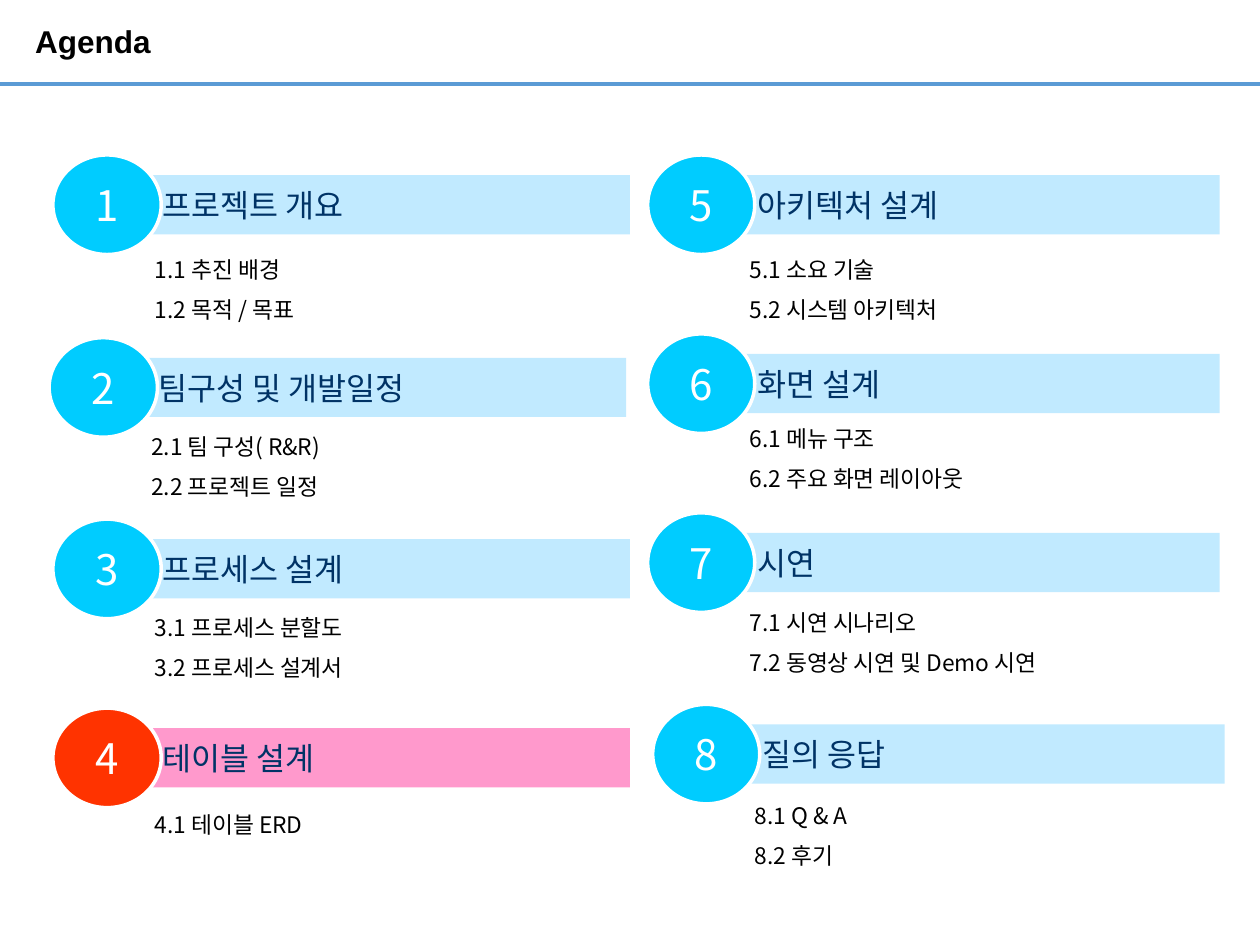
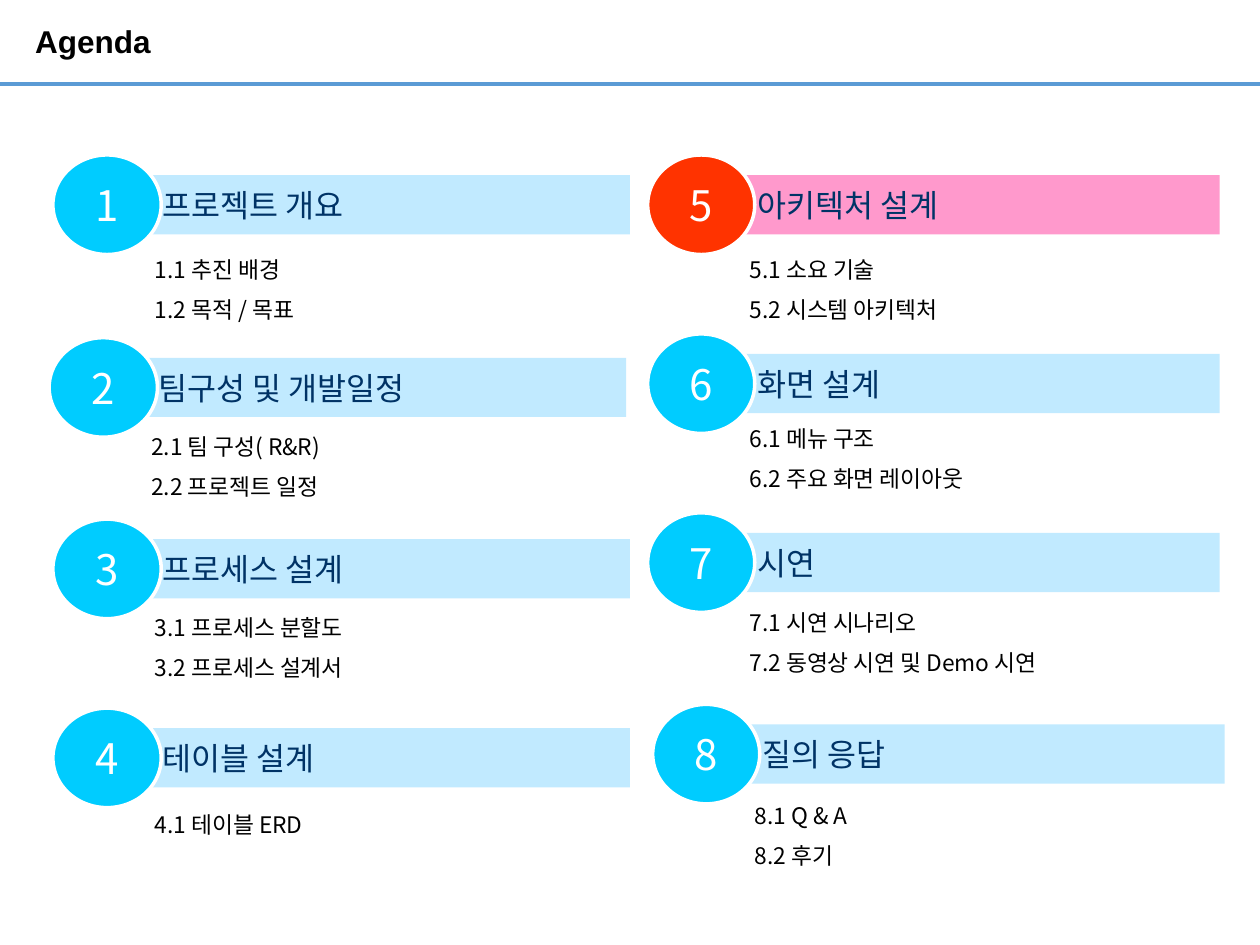
from lxml.etree import SubElement
from pptx import Presentation
from pptx.dml.color import RGBColor
from pptx.enum.shapes import MSO_CONNECTOR, MSO_SHAPE
from pptx.enum.text import MSO_ANCHOR, PP_ALIGN
from pptx.oxml.ns import qn
from pptx.util import Inches, Pt

# Content: per column, (title, nudge in x, circle top, items top, items)
LEFT = [
    ("프로젝트 개요", 0, 1.23, 1.94, ["1.1 추진 배경", "1.2 목적 / 목표"]),
    ("팀구성 및 개발일정", -0.03, 2.68, 3.34, ["2.1 팀 구성( R&R)", "2.2 프로젝트 일정"]),
    ("프로세스 설계", 0, 4.12, 4.78, ["3.1 프로세스 분할도", "3.2 프로세스 설계서"]),
    ("테이블 설계", 0, 5.62, 6.34, ["4.1 테이블 ERD"]),
]
RIGHT = [
    ("아키텍처 설계", 0, 1.23, 1.94, ["5.1 소요 기술", "5.2 시스템 아키텍처"]),
    ("화면 설계", 0, 2.65, 3.28, ["6.1 메뉴 구조", "6.2 주요 화면 레이아웃"]),
    ("시연", 0, 4.07, 4.74, ["7.1 시연 시나리오", "7.2 동영상 시연 및 Demo 시연"]),
    ("질의 응답", 0.04, 5.59, 6.27, ["8.1 Q & A", "8.2 후기"]),
]
# Circle left, circle width, bar width
COLS = [(0.42, 0.86, 4.23, LEFT), (5.14, 0.85, 4.19, RIGHT)]
ACTIVE = [4, 5]  # highlighted section on each slide

# Shared style
WHITE = RGBColor(0xFF, 0xFF, 0xFF)
BLACK = RGBColor(0, 0, 0)
NAVY = RGBColor(0x00, 0x33, 0x66)
RULE = RGBColor(0x5B, 0x9B, 0xD5)
CALM = (RGBColor(0xC1, 0xEA, 0xFF), RGBColor(0x00, 0xCC, 0xFF))
HOT = (RGBColor(0xFF, 0x99, 0xCC), RGBColor(0xFF, 0x33, 0x00))
SANS = "Noto Sans CJK KR"

TITLE = dict(
    frame=dict(margin_left=0, margin_right=0, margin_top=0, margin_bottom=0,
               vertical_anchor=MSO_ANCHOR.MIDDLE, word_wrap=True),
    para=dict(line_spacing=0.9),
    font=dict(name="Arial", size=Pt(18), bold=True), color=BLACK)
HEAD = dict(
    frame=dict(margin_left=Inches(0.52), vertical_anchor=MSO_ANCHOR.MIDDLE, word_wrap=True),
    para=dict(alignment=PP_ALIGN.LEFT),
    font=dict(name=SANS, size=Pt(18)), color=NAVY)
NUMBER = dict(
    frame=dict(vertical_anchor=MSO_ANCHOR.MIDDLE, word_wrap=False),
    para=dict(alignment=PP_ALIGN.CENTER),
    font=dict(name=SANS, size=Pt(24)), color=WHITE)
ITEM = dict(
    frame=dict(margin_left=Inches(0.02), margin_right=Inches(0.02), word_wrap=True),
    para=dict(alignment=PP_ALIGN.JUSTIFY, line_spacing=1.2, space_before=Pt(4)),
    font=dict(name=SANS, size=Pt(13)), color=BLACK)


def apply(obj, vals):
    for key, val in vals.items():
        setattr(obj, key, val)


def write(shape, lines, style):
    frame = shape.text_frame
    apply(frame, style["frame"])
    for i, line in enumerate(lines):
        para = frame.add_paragraph() if i else frame.paragraphs[0]
        apply(para, style["para"])
        run = para.add_run()
        run.text = line
        apply(run.font, style["font"])
        run.font.color.rgb = style["color"]
        # Korean glyphs take the East Asian face
        SubElement(run.font._element, qn("a:ea"), typeface=style["font"]["name"])


def add_text(slide, box, lines, style):
    write(slide.shapes.add_textbox(*map(Inches, box)), lines, style)


def add_form(slide, kind, box, fill, text, style, edge=None):
    shape = slide.shapes.add_shape(kind, *map(Inches, box))
    shape.shadow.inherit = False
    shape.fill.solid()
    shape.fill.fore_color.rgb = fill
    if edge:
        shape.line.color.rgb = edge
        shape.line.width = Pt(2)
    else:
        shape.line.fill.background()
    write(shape, [text], style)


def add_header(slide):
    line = slide.shapes.add_connector(
        MSO_CONNECTOR.STRAIGHT, 0, Inches(0.67), Inches(10), Inches(0.67))
    line.line.color.rgb = RULE
    line.line.width = Pt(2.25)
    SubElement(line._element.spPr, qn("a:effectLst"))
    add_text(slide, (0.28, 0, 6.54, 0.68), ["Agenda"], TITLE)


def add_agenda(slide, active):
    num = 0
    for left, size, wide, parts in COLS:
        for title, nudge, top, low, items in parts:
            num += 1
            x = left + nudge
            bar, disc = HOT if num == active else CALM
            add_form(slide, MSO_SHAPE.RECTANGLE, (x + 0.35, top + 0.16, wide, 0.47),
                     bar, title, HEAD)
            add_form(slide, MSO_SHAPE.OVAL, (x, top, size, 0.79),
                     disc, str(num), NUMBER, WHITE)
            high = 0.75 if len(items) > 1 else 0.36
            add_text(slide, (x + 0.79, low, 3.76, high), items, ITEM)


# Build the slides
deck = Presentation()
deck.slide_width, deck.slide_height = Inches(10), Inches(7.5)
for active in ACTIVE:
    slide = deck.slides.add_slide(deck.slide_layouts[6])
    add_header(slide)
    add_agenda(slide, active)
deck.save("out.pptx")
